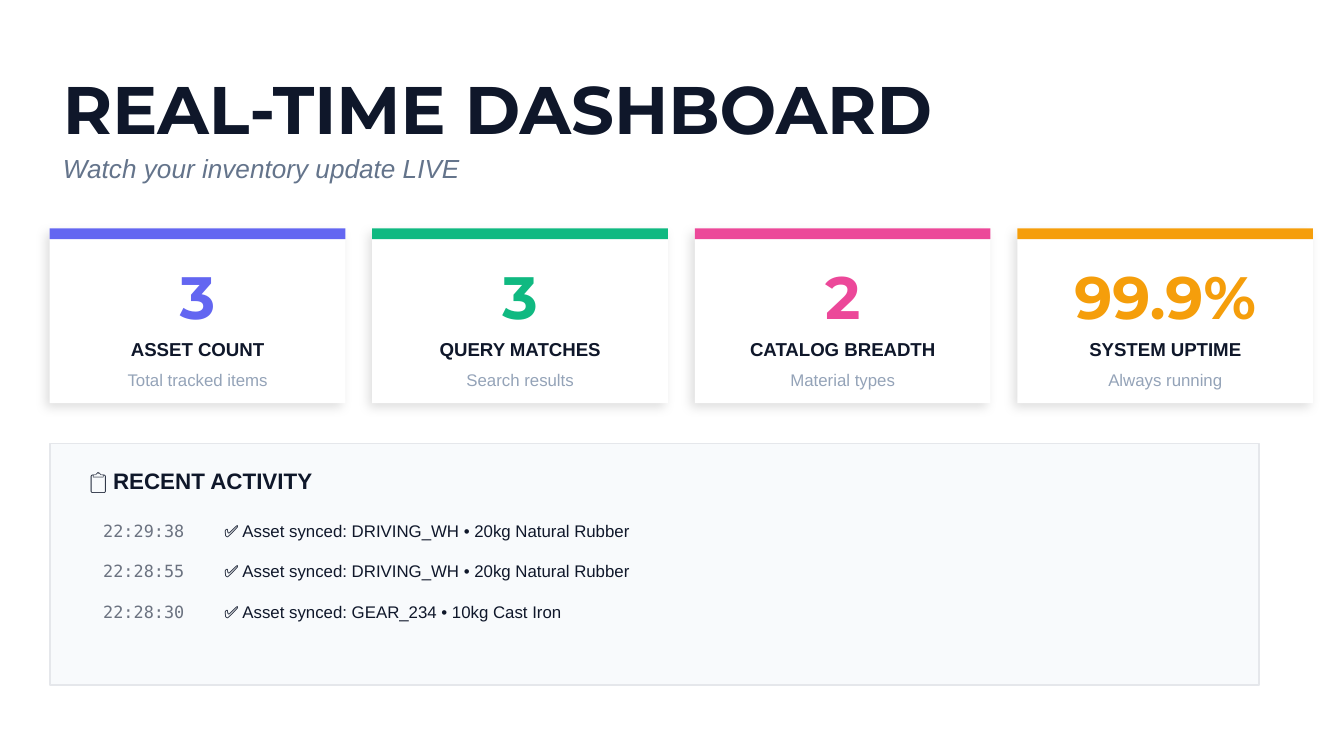
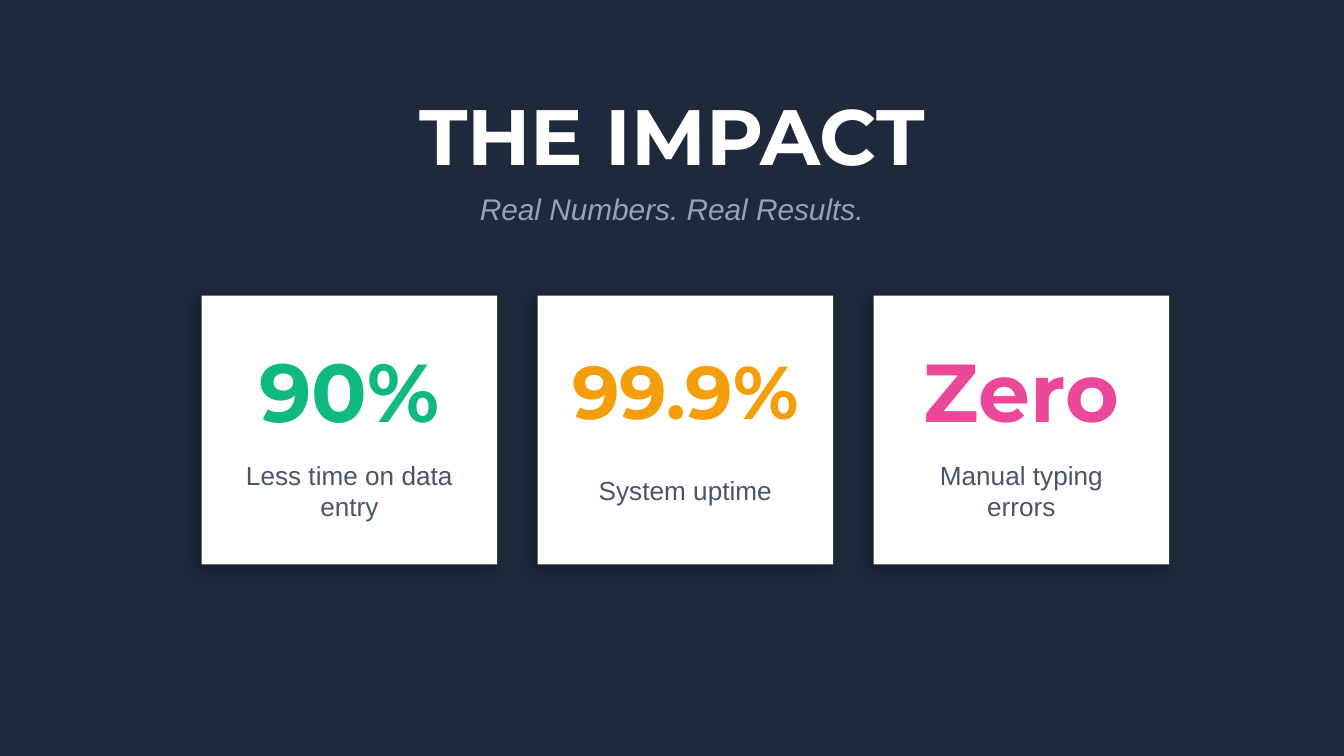
from lxml.etree import SubElement
from pptx import Presentation
from pptx.dml.color import RGBColor
from pptx.enum.shapes import MSO_SHAPE as Preset
from pptx.enum.text import MSO_ANCHOR as Anchor, PP_ALIGN as Align
from pptx.oxml.ns import qn
from pptx.util import Inches, Pt

# Shared colours, fonts and sizes
WHITE = RGBColor(0xFF, 0xFF, 0xFF)
INK = RGBColor(0x0F, 0x17, 0x2A)
NAVY = RGBColor(0x1E, 0x29, 0x3B)
SLATE = RGBColor(0x47, 0x55, 0x69)
STEEL = RGBColor(0x64, 0x74, 0x8B)
GRAY = RGBColor(0x6B, 0x72, 0x80)
MIST = RGBColor(0x94, 0xA3, 0xB8)
RULE = RGBColor(0xE5, 0xE7, 0xEB)
PANEL = RGBColor(0xF8, 0xFA, 0xFC)
INDIGO = RGBColor(0x63, 0x66, 0xF1)
GREEN = RGBColor(0x10, 0xB9, 0x81)
PINK = RGBColor(0xEC, 0x48, 0x99)
AMBER = RGBColor(0xF5, 0x9E, 0x0B)

DISPLAY, BODY, MONO = "Montserrat", "Arial", "DejaVu Sans Mono"
SLIDE_WIDTH = 10
SLIDE_HEIGHT = SLIDE_WIDTH * 9 / 16
CARD_WIDTH = 2.2

# Content
METRICS = [
    ("3", "ASSET COUNT", "Total tracked items", INDIGO),
    ("3", "QUERY MATCHES", "Search results", GREEN),
    ("2", "CATALOG BREADTH", "Material types", PINK),
    ("99.9%", "SYSTEM UPTIME", "Always running", AMBER),
]
ACTIVITY = [
    ("22:29:38", "✅ Asset synced: DRIVING_WH • 20kg Natural Rubber"),
    ("22:28:55", "✅ Asset synced: DRIVING_WH • 20kg Natural Rubber"),
    ("22:28:30", "✅ Asset synced: GEAR_234 • 10kg Cast Iron"),
]
RESULTS = [
    ("90%", 44, "Less time on data entry", GREEN),
    ("99.9%", 40, "System uptime", AMBER),
    ("Zero", 44, "Manual typing errors", PINK),
]


# Building blocks
def add_text(slide, text, x, y, w, h, *, size, color, font=BODY,
             bold=False, italic=False, align=Align.LEFT, wrap=True):
    frame = slide.shapes.add_textbox(
        Inches(x), Inches(y), Inches(w), Inches(h)).text_frame
    frame.word_wrap = wrap
    frame.vertical_anchor = Anchor.MIDDLE
    line = frame.paragraphs[0]
    line.alignment = align
    run = line.add_run()
    run.text = text
    run.font.name, run.font.size = font, Pt(size)
    run.font.bold, run.font.italic = bold, italic
    run.font.color.rgb = color


def add_rect(slide, x, y, w, h, fill, outline=None):
    rect = slide.shapes.add_shape(
        Preset.RECTANGLE, Inches(x), Inches(y), Inches(w), Inches(h))
    rect.shadow.inherit = False
    rect.fill.solid()
    rect.fill.fore_color.rgb = fill
    if outline is None:
        rect.line.fill.background()
    else:
        rect.line.color.rgb = outline
        rect.line.width = Pt(1)
    return rect


def add_card(slide, x, y, h, *, opacity, blur, distance):
    """White card with a soft shadow falling down and to the left."""
    card = add_rect(slide, x, y, CARD_WIDTH, h, WHITE)
    effects = card._element.spPr.find(qn("a:effectLst"))
    shadow = SubElement(effects, qn("a:outerShdw"), blurRad=str(Pt(blur)),
                        dist=str(Pt(distance)), dir=str(135 * 60000),
                        algn="bl", rotWithShape="0")
    tint = SubElement(shadow, qn("a:srgbClr"), val="000000")
    SubElement(tint, qn("a:alpha"), val=str(opacity * 1000))


def new_slide(deck, background):
    slide = deck.slides.add_slide(deck.slide_layouts[6])
    slide.background.fill.solid()
    slide.background.fill.fore_color.rgb = background
    return slide


# Regions
def add_heading(slide, title, tagline, x, y, *, size, tagline_size, drop,
                color, tagline_color, align=Align.LEFT):
    add_text(slide, title, x, y, 9, 0.6, size=size, color=color,
             font=DISPLAY, bold=True, align=align)
    add_text(slide, tagline, x, y + drop, 9, 0.3, size=tagline_size,
             color=tagline_color, italic=True, align=align)


def metric_card(slide, x, y, value, label, detail, accent):
    add_card(slide, x, y, 1.3, opacity=12, blur=6, distance=3)
    add_rect(slide, x, y, CARD_WIDTH, 0.08, accent)
    add_text(slide, value, x, y + 0.3, CARD_WIDTH, 0.4, size=32,
             color=accent, font=DISPLAY, bold=True, align=Align.CENTER)
    add_text(slide, label, x + 0.1, y + 0.8, CARD_WIDTH - 0.2, 0.2, size=10,
             color=INK, bold=True, align=Align.CENTER)
    add_text(slide, detail, x + 0.1, y + 1.05, CARD_WIDTH - 0.2, 0.15,
             size=9, color=MIST, align=Align.CENTER)


def activity_panel(slide, x, y, w, h):
    add_rect(slide, x, y, w, h, PANEL, outline=RULE)
    add_text(slide, "📋 RECENT ACTIVITY", x + 0.2, y + 0.15, w - 0.4, 0.25,
             size=12, color=INK, bold=True)
    for row, (time, event) in enumerate(ACTIVITY):
        top = y + 0.55 + row * 0.3
        add_text(slide, time, x + 0.3, top, 0.8, 0.2, size=9, color=GRAY,
                 font=MONO, wrap=False)
        add_text(slide, event, x + 1.2, top, w - 1.5, 0.2, size=9, color=INK)


def result_card(slide, x, y, value, size, caption, accent):
    add_card(slide, x, y, 2, opacity=30, blur=8, distance=4)
    add_text(slide, value, x, y + 0.4, CARD_WIDTH, 0.6, size=size,
             color=accent, font=DISPLAY, bold=True, align=Align.CENTER)
    add_text(slide, caption, x + 0.2, y + 1.2, CARD_WIDTH - 0.4, 0.5,
             size=14, color=SLATE, align=Align.CENTER)


# Slides
def dashboard_slide(deck):
    slide = new_slide(deck, WHITE)
    left = 0.37
    add_heading(slide, "REAL-TIME DASHBOARD",
                "Watch your inventory update LIVE", left, 0.5, size=36,
                tagline_size=14, drop=0.6, color=INK, tagline_color=STEEL)
    for column, metric in enumerate(METRICS):
        metric_card(slide, left + column * (CARD_WIDTH + 0.2), 1.7, *metric)
    activity_panel(slide, left, 3.3, 9, 1.8)


def impact_slide(deck):
    slide = new_slide(deck, NAVY)
    add_heading(slide, "THE IMPACT", "Real Numbers. Real Results.", 0.5, 0.7,
                size=42, tagline_size=16, drop=0.7, color=WHITE,
                tagline_color=MIST, align=Align.CENTER)
    for column, result in enumerate(RESULTS):
        result_card(slide, 1.5 + column * (CARD_WIDTH + 0.3), 2.2, *result)


def main():
    deck = Presentation()
    deck.slide_width = Inches(SLIDE_WIDTH)
    deck.slide_height = Inches(SLIDE_HEIGHT)
    dashboard_slide(deck)
    impact_slide(deck)
    deck.save("out.pptx")


if __name__ == "__main__":
    main()
